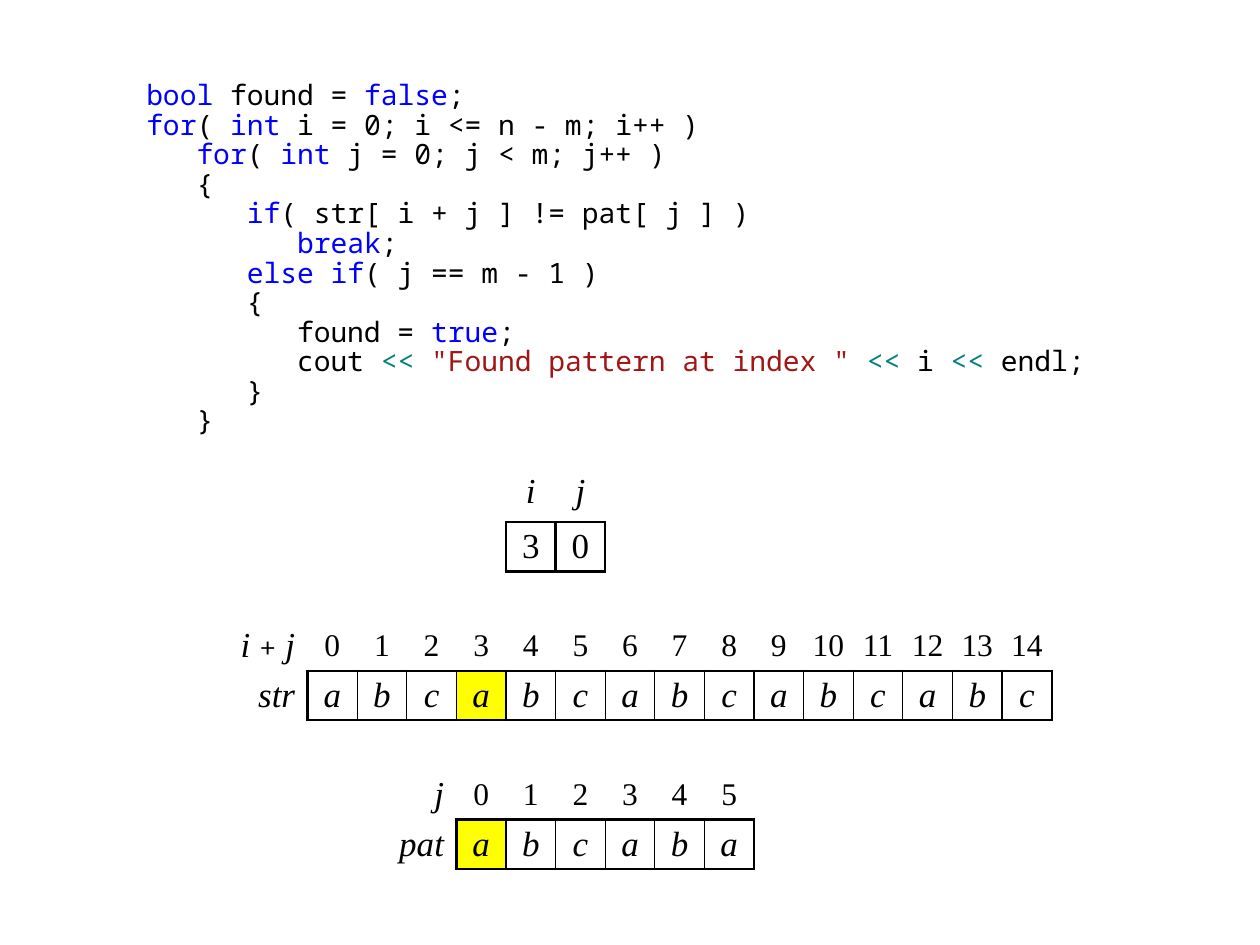
from pptx import Presentation
from pptx.dml.color import RGBColor
from pptx.enum.text import MSO_ANCHOR as Anchor, PP_ALIGN as Align
from pptx.oxml.ns import qn
from pptx.util import Cm, Pt
from lxml.etree import SubElement

BLACK = RGBColor(0, 0, 0)
WHITE = RGBColor(255, 255, 255)
YELLOW = RGBColor(255, 255, 0)
BLUE = RGBColor(0, 0, 255)
TEAL = RGBColor(0, 128, 128)
RED = RGBColor(0xA3, 0x15, 0x15)

MONO, SERIF = "Noto Sans Mono", "Times New Roman"
PLAIN_STYLE = "{2D5ABB26-0587-4C30-8999-92F81FD0307C}"  # no style, no grid
THICK, THIN = 1.5, 0.75
CELL = 1  # side of an array cell, cm

# Tokens that get a colour are set off by "|"
CODE = """\
|bool| found = |false|;
|for|( |int| i = 0; i <= n - m; i++ )
   |for|( |int| j = 0; j < m; j++ )
   {
      |if|( str[ i + j ] != pat[ j ] )
         |break|;
      |else if|( j == m - 1 )
      {
         found = |true|;
         cout |<<| |"Found pattern at index "| |<<| i |<<| endl;
      }
   }"""
KEYWORDS = {"bool", "false", "for", "int", "if", "break", "else if", "true"}


def token_color(token):
    if token in KEYWORDS:
        return BLUE
    if token == "<<":
        return TEAL
    return RED if token.startswith('"') else BLACK


def add_code(s, left, top, width, height):
    tf = s.shapes.add_textbox(Cm(left), Cm(top), Cm(width), Cm(height)).text_frame
    tf.word_wrap = False
    for n, line in enumerate(CODE.split("\n")):
        p = tf.add_paragraph() if n else tf.paragraphs[0]
        p.line_spacing = 0.88
        p.font.name, p.font.size = MONO, Pt(16)
        for token in filter(None, line.split("|")):
            r = p.add_run()
            r.text = token
            r.font.color.rgb = token_color(token)


def add_table(s, rows, left, top, label_width=CELL):
    """Two-row table of square cells; the first column may be wider."""
    cols = len(rows[0])
    frame = s.shapes.add_table(2, cols, Cm(left), Cm(top),
                               Cm(label_width + CELL * (cols - 1)), Cm(2 * CELL))
    table = frame.table
    table.first_row = table.horz_banding = False
    table._tbl.tblPr.find(qn("a:tableStyleId")).text = PLAIN_STYLE
    for n, col in enumerate(table.columns):
        col.width = Cm(CELL if n else label_width)
    for row, texts in zip(table.rows, rows):
        row.height = Cm(CELL)
        for cell, text in zip(row.cells, texts):
            set_cell(cell, text)
    return table


def set_cell(cell, text, size=20, italic=True, align=Align.CENTER,
             anchor=Anchor.MIDDLE, margin=0.1):
    cell.margin_left = cell.margin_right = Cm(margin)
    cell.margin_top = cell.margin_bottom = 0
    cell.vertical_anchor = anchor
    cell.text = text
    p = cell.text_frame.paragraphs[0]
    p.alignment = align
    p.font.name, p.font.size, p.font.italic = SERIF, Pt(size), italic
    p.font.color.rgb = BLACK


def set_borders(cell, left=THICK, right=THICK, top=THICK, bottom=THICK):
    tcPr = cell._tc.get_or_add_tcPr()
    for side, width in zip("LRTB", (left, right, top, bottom)):
        ln = SubElement(tcPr, qn(f"a:ln{side}"), w=str(Pt(width)))
        fill = SubElement(ln, qn("a:solidFill"))
        SubElement(fill, qn("a:srgbClr"), val=str(BLACK))


def add_array(s, index_label, name, letters, marked, left, top, label_width):
    """Array with indices above, its name at the left and one marked cell."""
    count = len(letters)
    rows = [[index_label, *map(str, range(count))], [name, *letters]]
    table = add_table(s, rows, left, top, label_width)
    for row, label in enumerate((index_label, name)):
        set_cell(table.cell(row, 0), label, align=Align.RIGHT, margin=0.25)
    for n in range(count):
        set_cell(table.cell(0, n + 1), str(n), size=18, italic=False)
        cell = table.cell(1, n + 1)
        set_borders(cell, left=THIN if n else THICK,
                    right=THIN if n < count - 1 else THICK)
        cell.fill.solid()
        cell.fill.fore_color.rgb = YELLOW if n == marked else WHITE
    return table


def add_counters(s, names, values, left, top):
    table = add_table(s, [names, values], left, top)
    for n, (name, value) in enumerate(zip(names, values)):
        set_cell(table.cell(0, n), name, anchor=Anchor.TOP, margin=0)
        set_cell(table.cell(1, n), value, italic=False)
        set_borders(table.cell(1, n))


def set_sum_label(cell):
    """Label i + j: italic names, upright plus sign."""
    p = cell.text_frame.paragraphs[0]
    p.clear()
    for text, font, size, italic in (("i ", SERIF, 20, True),
                                     ("+", "Cambria", 18, False),
                                     (" ", SERIF, 20, False),
                                     ("j", SERIF, 20, True)):
        r = p.add_run()
        r.text = text
        r.font.name, r.font.size, r.font.italic = font, Pt(size), italic


def main():
    prs = Presentation()
    prs.slide_width, prs.slide_height = Cm(25.4), Cm(19.05)
    s = prs.slides.add_slide(prs.slide_layouts[6])

    # Search code
    add_code(s, 2.7, 1.53, 19.5, 8.5)

    # Text being searched
    text = add_array(s, "i + j", "str", "abc" * 5, 3, 4.2, 12.52, label_width=2)
    set_sum_label(text.cell(0, 0))

    # Loop counters
    add_counters(s, "ij", "30", 10.2, 9.52)

    # Pattern, lined up with the text at i = 3
    add_array(s, "j", "pat", "abcaba", 0, 7.7, 15.52, label_width=1.5)

    prs.save("out.pptx")


if __name__ == "__main__":
    main()
